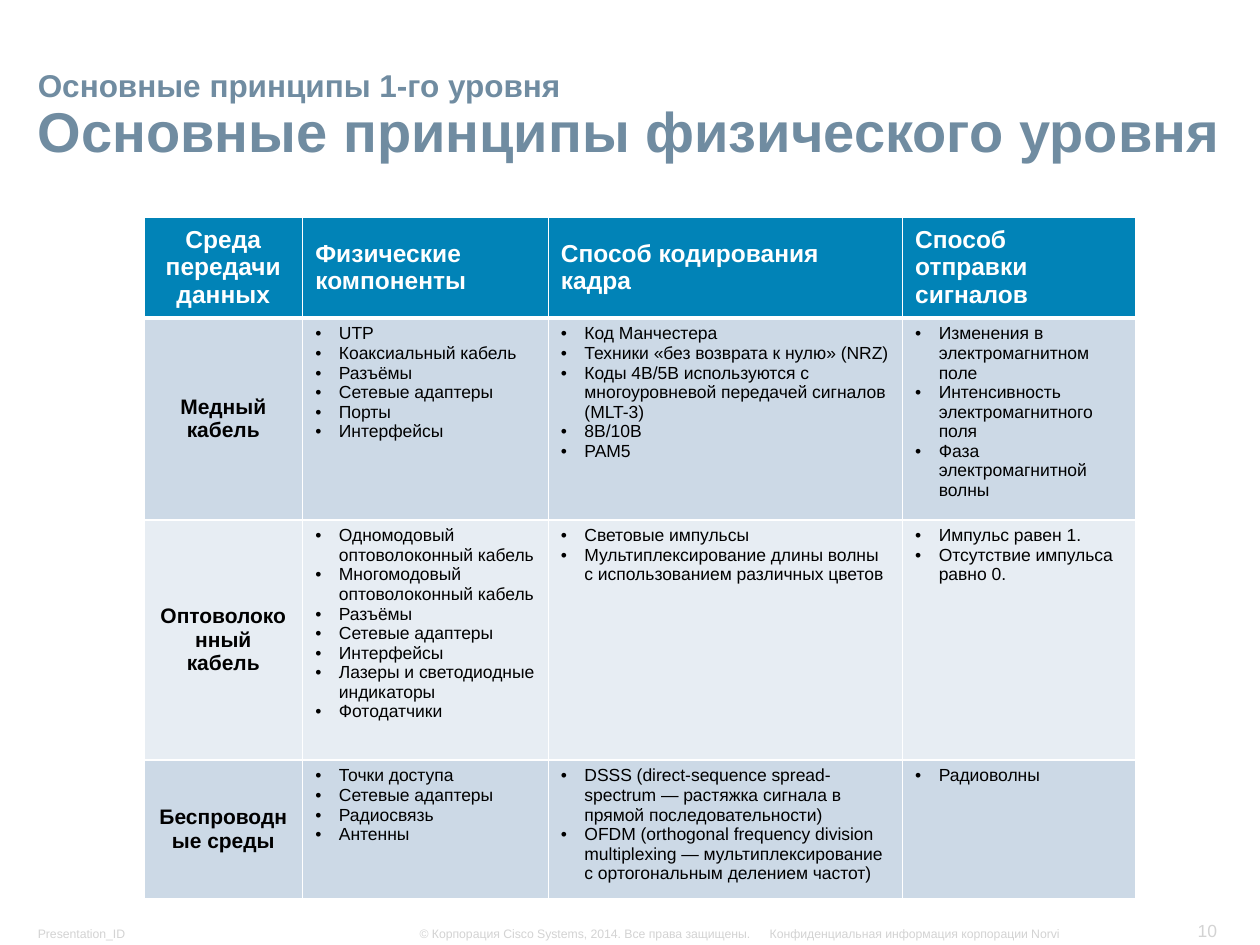
from dataclasses import dataclass

from lxml import etree
from pptx import Presentation
from pptx.dml.color import RGBColor
from pptx.enum.text import MSO_ANCHOR, PP_ALIGN
from pptx.oxml.ns import qn
from pptx.util import Pt

LEFT, CENTER, RIGHT = PP_ALIGN.LEFT, PP_ALIGN.CENTER, PP_ALIGN.RIGHT
TOP, MIDDLE, BOTTOM = MSO_ANCHOR.TOP, MSO_ANCHOR.MIDDLE, MSO_ANCHOR.BOTTOM


@dataclass(frozen=True)
class Theme:
    font: str = "Arial"
    title: str = "708CA1"
    footer: str = "D3D3D3"
    header: str = "0183B7"
    bands: tuple = ("CCD9E6", "E7EDF3")
    white: str = "FFFFFF"
    black: str = "000000"
    kicker_size: int = 18
    title_size: int = 32
    header_size: int = 14
    label_size: int = 12
    body_size: int = 10
    number_size: int = 10
    footer_size: int = 7


theme = Theme()


def style_font(font, size, color, bold=False):
    font.name = theme.font
    font.size = Pt(size)
    font.bold = bold
    font.color.rgb = RGBColor.from_string(color)


def add_text(slide, box, text, alignment, wrap):
    shape = slide.shapes.add_textbox(*map(Pt, box))
    frame = shape.text_frame
    frame.word_wrap = wrap
    frame.vertical_anchor = BOTTOM
    frame.margin_left = frame.margin_right = Pt(6.5)
    frame.margin_top = frame.margin_bottom = Pt(3.2)
    frame.text = text
    frame.paragraphs[0].alignment = alignment
    return frame.paragraphs[0]


presentation = Presentation()
presentation.slide_width, presentation.slide_height = Pt(720), Pt(540)
slide = presentation.slides.add_slide(presentation.slide_layouts[6])

footers = [
    ((15.1, 525.6, 75.6, 15.1), "Presentation_ID", LEFT, True, theme.footer_size),
    ((676.8, 522, 25.2, 18.7), "10", RIGHT, False, theme.number_size),
    ((233.3, 525.6, 205.2, 15.1),
     "© Корпорация Cisco Systems, 2014. Все права защищены.",
     LEFT, False, theme.footer_size),
    ((429.8, 525.6, 182.2, 15.1), "Конфиденциальная информация корпорации Norvi",
     RIGHT, False, theme.footer_size),
]
for box, text, alignment, wrap, size in footers:
    paragraph = add_text(slide, box, text, alignment, wrap)
    style_font(paragraph.runs[0].font, size, theme.footer)

title = add_text(
    slide, (15.1, 31, 690.5, 66.2),
    "Основные принципы 1-го уровня\vОсновные принципы физического уровня",
    LEFT, True)
title.line_spacing = 0.9
for run, size in zip(title.runs, (theme.kicker_size, theme.title_size)):
    style_font(run.font, size, theme.title, True)

rows = [
    [["Среда передачи данных"], ["Физические компоненты"],
     ["Способ кодирования кадра"], ["Способ отправки сигналов"]],
    [["Медный кабель"],
     ["UTP", "Коаксиальный кабель", "Разъёмы", "Сетевые адаптеры", "Порты",
      "Интерфейсы"],
     ["Код Манчестера", "Техники «без возврата к нулю» (NRZ)",
      "Коды 4B/5B используются с многоуровневой передачей сигналов (MLT-3)",
      "8B/10B", "PAM5"],
     ["Изменения в электромагнитном поле",
      "Интенсивность электромагнитного поля",
      "Фаза электромагнитной волны"]],
    [["Оптоволоконный кабель"],
     ["Одномодовый оптоволоконный кабель",
      "Многомодовый оптоволоконный кабель", "Разъёмы", "Сетевые адаптеры",
      "Интерфейсы", "Лазеры и светодиодные индикаторы", "Фотодатчики"],
     ["Световые импульсы",
      "Мультиплексирование длины волны с использованием различных цветов"],
     ["Импульс равен 1.", "Отсутствие импульса равно 0."]],
    [["Беспроводные среды"],
     ["Точки доступа", "Сетевые адаптеры", "Радиосвязь", "Антенны"],
     ["DSSS (direct-sequence spread-spectrum — растяжка сигнала в прямой "
      "последовательности)",
      "OFDM (orthogonal frequency division multiplexing — "
      "мультиплексирование с ортогональным делением частот)"],
     ["Радиоволны"]],
]
column_widths = (90.8, 140.3, 202.5, 133.2)
row_heights = (54, 107.5, 137.2, 73.6)

table = slide.shapes.add_table(
    len(rows), len(column_widths), Pt(82.2), Pt(124),
    Pt(sum(column_widths)), Pt(sum(row_heights))).table
for column, width in zip(table.columns, column_widths):
    column.width = Pt(width)
for row, height in zip(table.rows, row_heights):
    row.height = Pt(height)

for row_index, row in enumerate(rows):
    for column_index, lines in enumerate(row):
        cell = table.cell(row_index, column_index)
        is_header = row_index == 0
        is_label = column_index == 0
        is_list = not (is_header or is_label)

        properties = cell._tc.get_or_add_tcPr()
        edges = {"a:lnL": 1, "a:lnR": 1, "a:lnT": 3 if row_index == 1 else 1,
                 "a:lnB": 3 if is_header else 1}
        for tag, width in edges.items():
            line = etree.SubElement(properties, qn(tag), w=str(Pt(width)))
            fill = etree.SubElement(line, qn("a:solidFill"))
            etree.SubElement(fill, qn("a:srgbClr"), val=theme.white)

        background = theme.header if is_header else theme.bands[(row_index - 1) % 2]
        cell.fill.solid()
        cell.fill.fore_color.rgb = RGBColor.from_string(background)
        cell.vertical_anchor = TOP if is_list else MIDDLE
        cell.text_frame.text = "\n".join(lines)

        if is_header:
            size, color = theme.header_size, theme.white
        else:
            size = theme.label_size if is_label else theme.body_size
            color = theme.black
        for paragraph in cell.text_frame.paragraphs:
            paragraph.alignment = CENTER if is_label else LEFT
            if is_list:
                paragraph_properties = paragraph._p.get_or_add_pPr()
                paragraph_properties.set("marL", str(Pt(13.5)))
                paragraph_properties.set("indent", str(-Pt(13.5)))
                etree.SubElement(paragraph_properties, qn("a:buFont"), typeface=theme.font)
                etree.SubElement(paragraph_properties, qn("a:buChar"), char="•")
            style_font(paragraph.runs[0].font, size, color, not is_list)

presentation.save("out.pptx")
